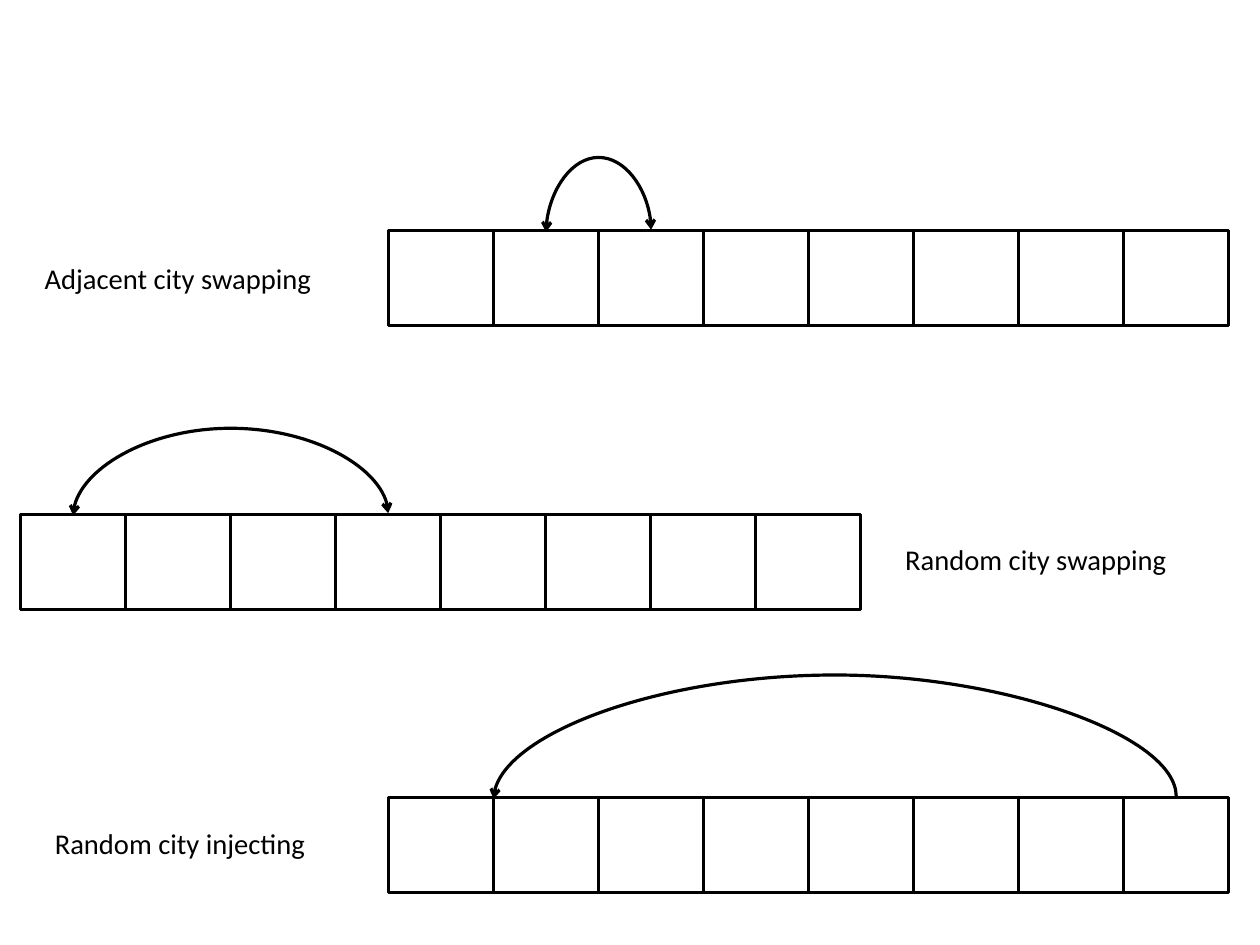
from dataclasses import dataclass

from lxml.etree import SubElement
from pptx import Presentation
from pptx.dml.color import RGBColor
from pptx.enum.shapes import MSO_CONNECTOR as Link, MSO_SHAPE as Shape
from pptx.enum.text import MSO_AUTO_SIZE as Fit
from pptx.oxml.ns import qn
from pptx.util import Inches, Pt


@dataclass(frozen=True)
class Theme:
    ink: RGBColor = RGBColor(0, 0, 0)
    paper: RGBColor = RGBColor(255, 255, 255)
    font: str = "Calibri"
    size: int = 18
    line: int = 2


theme = Theme()
deck = Presentation()
# The page is 28 by 21 cm
deck.slide_width = Inches(28 / 2.54)
deck.slide_height = Inches(21 / 2.54)
slide = deck.slides.add_slide(deck.slide_layouts[6])
shapes = slide.shapes


def add_text(text, *, left, top, width, height=0.41, size=theme.size, color=theme.ink):
    box = shapes.add_textbox(Inches(left), Inches(top), Inches(width), Inches(height))
    box.fill.solid()
    box.fill.fore_color.rgb = theme.paper
    frame = box.text_frame
    frame.word_wrap = True
    frame.auto_size = Fit.SHAPE_TO_FIT_TEXT
    frame.margin_left = frame.margin_right = Inches(0.11)
    frame.margin_top = frame.margin_bottom = Inches(0.06)
    run = frame.paragraphs[0].add_run()
    run.text = text
    run.font.name, run.font.size = theme.font, Pt(size)
    run.font.color.rgb = color


def add_arc(start, end, base, rise, ends):
    """Curve over the row: a connector turned upright, bulging by rise."""
    thick, span = 0.02, end - start
    mid = (start + end) / 2
    arc = shapes.add_connector(
        Link.CURVE,
        Inches(mid + thick / 2), Inches(base + span / 2),
        Inches(mid - thick / 2), Inches(base - span / 2),
    )
    arc.line.color.rgb = theme.ink
    arc.line.width = Pt(theme.line)
    props = arc._element.spPr
    props.find(qn("a:xfrm")).set("rot", "5400000")
    bend = props.find(qn("a:prstGeom")).find(qn("a:avLst"))
    SubElement(bend, qn("a:gd"), name="adj1", fmla=f"val {round(rise / thick * 100000)}")
    for tip in ends:
        SubElement(arc.line._get_or_add_ln(), qn(f"a:{tip}"), type="arrow")
    SubElement(props, qn("a:effectLst"))


count = 8
cell, tall = 7.35 / count, 0.83
both = ("headEnd", "tailEnd")

# Row left and top; label, left, top, width; arc from and to in cells, rise, arrow ends
rows = [
    (3.4, 2.02, ("Adjacent city swapping", 0.28, 2.22, 2.85), (1.5, 2.5, 0.65, both)),
    (0.18, 4.5, ("Random city swapping", 7.81, 4.68, 2.85), (0.5, 3.5, 0.76, both)),
    (3.4, 6.98, ("Random city injecting", 0.37, 7.17, 2.66), (1, 7.5, 1.08, both[:1])),
]

for left, top, (label, x, y, width), (start, end, rise, ends) in rows:
    for i in range(count):
        city = shapes.add_shape(
            Shape.RECTANGLE,
            Inches(left + i * cell), Inches(top), Inches(cell), Inches(tall),
        )
        city.shadow.inherit = False
        city.fill.solid()
        city.fill.fore_color.rgb = theme.paper
        city.line.color.rgb = theme.ink
        city.line.width = Pt(theme.line)
    add_text(label, left=x, top=y, width=width)
    add_arc(left + start * cell, left + end * cell, top, rise, ends)

deck.save("out.pptx")
